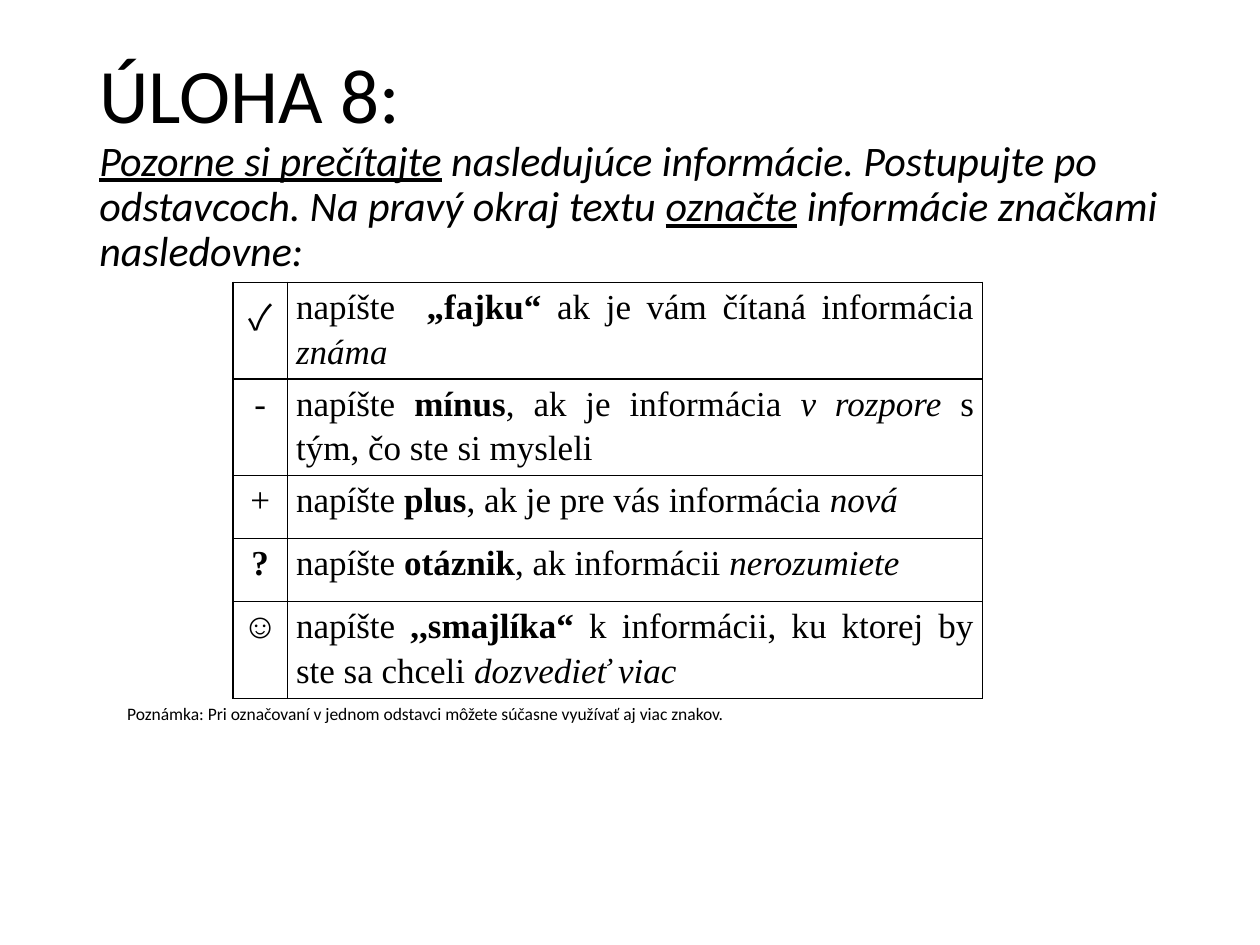
"""Build the slide for exercise 8 with its table of reading marks."""
from dataclasses import dataclass

from lxml.etree import SubElement
from pptx import Presentation
from pptx.dml.color import RGBColor
from pptx.enum.text import MSO_ANCHOR, PP_ALIGN
from pptx.oxml.ns import qn
from pptx.util import Inches, Pt


@dataclass(frozen=True)
class Theme:
    ink: str = "000000"
    sans: str = "Calibri"
    serif: str = "Times New Roman"
    symbol: str = "Noto Sans CJK JP"
    heading: int = 44
    task: int = 24
    table: int = 20
    note: int = 10
    border: int = 1


theme = Theme()


def write_spans(para, spans, face, size):
    para.font.name = face
    para.font.size = Pt(size)
    para.font.color.rgb = RGBColor.from_string(theme.ink)
    for text, *styles in spans:
        span = para.add_run()
        span.text = text
        for style in styles:
            setattr(span.font, style, True)


def draw_borders(cell):
    properties = cell._tc.get_or_add_tcPr()
    for side in ("a:lnL", "a:lnR", "a:lnT", "a:lnB"):
        line = SubElement(properties, qn(side), w=str(Pt(theme.border)))
        fill = SubElement(line, qn("a:solidFill"))
        SubElement(fill, qn("a:srgbClr"), val=theme.ink)
    cell.fill.background()


deck = Presentation()
deck.slide_width = Inches(10)
deck.slide_height = Inches(7.5)
page = deck.slides.add_slide(deck.slide_layouts[6])

title = page.shapes.add_textbox(Inches(0.69), Inches(0.4), Inches(8.62), Inches(1.45))
title.text_frame.word_wrap = True
para = title.text_frame.paragraphs[0]
para.line_spacing = 0.9
write_spans(para, [("ÚLOHA 8:",)], theme.sans, theme.task)
para.runs[0].font.size = Pt(theme.heading)
para.add_line_break()
task = [
    ("Pozorne si prečítajte", "italic", "underline"),
    (" nasledujúce informácie. Postupujte po odstavcoch. Na pravý okraj textu ", "italic"),
    ("označte", "italic", "underline"),
    (" informácie značkami nasledovne:", "italic"),
]
write_spans(para, task, theme.sans, theme.task)

marks = [
    (("✓",), [("napíšte  ",), ("„fajku“", "bold"),
              (" ak je vám čítaná informácia ",), ("známa", "italic")]),
    (("-",), [("napíšte ",), ("mínus", "bold"), (", ak je informácia ",),
              ("v rozpore", "italic"), (" s tým, čo ste si mysleli",)]),
    (("+",), [("napíšte ",), ("plus", "bold"),
              (", ak je pre vás informácia ",), ("nová", "italic")]),
    (("?", "bold"), [("napíšte ",), ("otáznik", "bold"),
                     (", ak informácii ",), ("nerozumiete", "italic")]),
    (("☺", "bold"), [("napíšte ",), (",,smajlíka“", "bold"),
                     (" k informácii, ku ktorej by ste sa chceli",),
                     (" dozvedieť viac", "italic")]),
]
widths = (0.43, 5.52)
row_height = 0.5
table = page.shapes.add_table(
    len(marks), len(widths), Inches(1.85), Inches(2.24),
    Inches(sum(widths)), Inches(row_height * len(marks)),
).table
table.first_row = False
table.horz_banding = False
for column, width in zip(table.columns, widths):
    column.width = Inches(width)
for row, (mark, meaning) in zip(table.rows, marks):
    row.height = Inches(row_height)
    mark_face = theme.symbol if mark[0] == "✓" else theme.serif
    contents = (
        ([mark], mark_face, PP_ALIGN.CENTER),
        (meaning, theme.serif, PP_ALIGN.JUSTIFY),
    )
    for cell, (spans, face, alignment) in zip(row.cells, contents):
        cell.margin_left = cell.margin_right = Inches(0.07)
        cell.margin_top = cell.margin_bottom = 0
        draw_borders(cell)
        para = cell.text_frame.paragraphs[0]
        para.alignment = alignment
        para.line_spacing = 1.15
        para.space_before = Pt(3)
        write_spans(para, spans, face, theme.table)

note = page.shapes.add_textbox(Inches(0.88), Inches(5.53), Inches(8.72), Inches(0.27))
note.text_frame.word_wrap = True
note.text_frame.vertical_anchor = MSO_ANCHOR.MIDDLE
note.text_frame.margin_left = Inches(0.13)
para = note.text_frame.paragraphs[0]
para.alignment = PP_ALIGN.JUSTIFY
note_text = "Poznámka: Pri označovaní v jednom odstavci môžete súčasne využívať aj viac znakov."
write_spans(para, [(note_text,)], theme.sans, theme.note)

deck.save("out.pptx")
